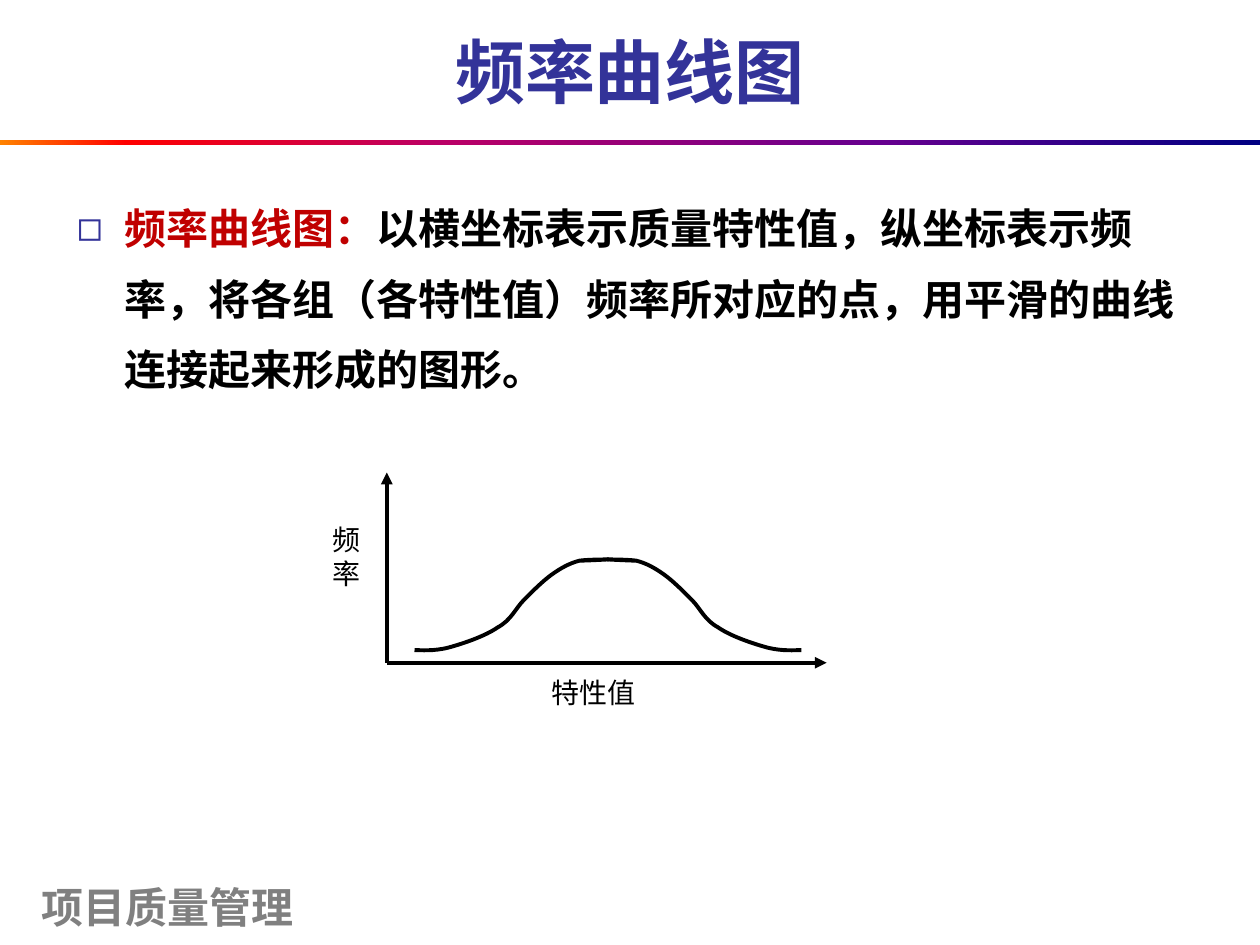
from lxml import etree
from pptx import Presentation
from pptx import util as u
from pptx.dml.color import RGBColor
from pptx.enum import shapes, text
from pptx.oxml.ns import qn

INDIGO = RGBColor(0x33, 0x33, 0x99)
RED = RGBColor(0xC0, 0x00, 0x00)
BLACK = RGBColor(0x00, 0x00, 0x00)
GREY = RGBColor(0x80, 0x80, 0x80)
RULE_STOPS = [(0, RGBColor(0xFF, 0x82, 0x00)), (10, RGBColor(0xFF, 0x00, 0x00)),
              (35, RGBColor(0xBA, 0x00, 0x66)), (70, RGBColor(0x66, 0x00, 0x8F)),
              (100, RGBColor(0x00, 0x00, 0x82))]

# Left half of the bell curve: start, then cubic segments (control, control, end)
BELL_HALF = [
    (3.29, 5.16),
    (3.34, 5.16), (3.44, 5.17), (3.56, 5.14),
    (3.67, 5.11), (3.85, 5.05), (3.95, 4.98),
    (4.06, 4.92), (4.09, 4.83), (4.16, 4.76),
    (4.23, 4.69), (4.31, 4.61), (4.38, 4.56),
    (4.45, 4.51), (4.52, 4.47), (4.60, 4.45),
    (4.67, 4.44), (4.83, 4.44), (4.83, 4.44),
    (4.83, 4.44), (4.65, 4.45), (4.60, 4.45),
]
BELL_WIDTH_SUM = 9.65  # left x plus its mirrored x


class SlideBuilder:
    """Holds the style and the current slide."""
    heading_font = "Arial"
    body_font = "Noto Sans CJK SC"
    label_font = "Times New Roman"
    line_width = u.Pt(2.25)

    def __init__(self, slide):
        self.slide = slide
        self.figure = slide.shapes.add_group_shape().shapes

    def format_run(self, run, font, size, color, bold=False):
        run.font.name, run.font.size, run.font.bold = font, u.Pt(size), bold
        run.font.color.rgb = color

    def place(self, shape, left, top, width, height):
        shape.left, shape.top = u.Inches(left), u.Inches(top)
        shape.width, shape.height = u.Inches(width), u.Inches(height)

    def title(self, wording, *box):
        title = self.slide.shapes.title
        self.place(title, *box)
        frame = title.text_frame
        frame.text = wording
        frame.auto_size = text.MSO_AUTO_SIZE.NONE
        frame.vertical_anchor = text.MSO_ANCHOR.MIDDLE
        frame.paragraphs[0].alignment = text.PP_ALIGN.CENTER
        self.format_run(frame.paragraphs[0].runs[0], self.heading_font, 40, INDIGO, True)

    def definition(self, term, meaning, *box):
        body = self.slide.placeholders[1]
        self.place(body, *box)
        body.text_frame.auto_size = text.MSO_AUTO_SIZE.NONE
        paragraph = body.text_frame.paragraphs[0]
        # Hollow square bullet with a hanging indent; punctuation stays inside the margin
        properties = paragraph._p.get_or_add_pPr()
        properties.set("marL", str(u.Inches(0.38)))
        properties.set("indent", str(-u.Inches(0.38)))
        properties.set("hangingPunct", "0")
        bullet_color = etree.SubElement(properties, qn("a:buClr"))
        etree.SubElement(bullet_color, qn("a:srgbClr"), val=str(INDIGO))
        etree.SubElement(properties, qn("a:buChar"), char="◻")
        paragraph.line_spacing = 1.4
        paragraph.space_before = u.Pt(0)
        for wording, color in ((term, RED), (meaning, BLACK)):
            run = paragraph.add_run()
            run.text = wording
            self.format_run(run, self.body_font, 24, color, True)

    def footer(self, wording, *box):
        footer = self.slide.shapes.add_textbox(*map(u.Inches, box))
        frame = footer.text_frame
        frame.word_wrap = True
        frame.vertical_anchor = text.MSO_ANCHOR.MIDDLE
        frame.text = wording
        self.format_run(frame.paragraphs[0].runs[0], self.heading_font, 24, GREY, True)

    def gradient_rule(self, stops, *box):
        rule = self.slide.shapes.add_shape(shapes.MSO_SHAPE.RECTANGLE, *map(u.Inches, box))
        rule.shadow.inherit = False
        rule.line.fill.background()
        rule.fill.gradient()
        rule.fill.gradient_angle = 0
        stop_list = rule._element.spPr.find(qn("a:gradFill")).find(qn("a:gsLst"))
        for old_stop in list(stop_list):
            stop_list.remove(old_stop)
        for percent, color in stops:
            stop = etree.SubElement(stop_list, qn("a:gs"), pos=str(percent * 1000))
            etree.SubElement(stop, qn("a:srgbClr"), val=str(color))

    def axis(self, *ends):
        axis = self.figure.add_connector(shapes.MSO_CONNECTOR.STRAIGHT, *map(u.Inches, ends))
        axis.line.color.rgb, axis.line.width = BLACK, self.line_width
        etree.SubElement(axis.line._get_or_add_ln(), qn("a:tailEnd"), type="triangle")
        etree.SubElement(axis._element.spPr, qn("a:effectLst"))

    def axis_label(self, wording, *box):
        label = self.figure.add_textbox(*map(u.Inches, box))
        frame = label.text_frame
        frame.word_wrap = True
        frame.margin_left = frame.margin_right = frame.margin_top = frame.margin_bottom = 0
        frame.text = wording
        frame.paragraphs[0].alignment = text.PP_ALIGN.JUSTIFY
        self.format_run(frame.paragraphs[0].runs[0], self.label_font, 16, BLACK)

    def curve(self, points):
        start, *others = [(u.Inches(x), u.Inches(y)) for x, y in points]
        pen = self.figure.build_freeform(*start)
        pen.add_line_segments(others, close=False)
        curve = pen.convert_to_shape()
        # Every three straight steps become one cubic segment
        steps = list(curve._element.spPr.iter(qn("a:lnTo")))
        for first in range(0, len(steps), 3):
            bend = etree.Element(qn("a:cubicBezTo"))
            steps[first].addprevious(bend)
            for step in steps[first:first + 3]:
                bend.append(step[0])
                step.getparent().remove(step)
        curve.shadow.inherit = False
        curve.fill.background()
        curve.line.color.rgb, curve.line.width = BLACK, self.line_width


def main():
    deck = Presentation()
    deck.slide_width, deck.slide_height = u.Inches(10), u.Inches(7.5)
    builder = SlideBuilder(deck.slides.add_slide(deck.slide_layouts[1]))

    # Frame of the slide
    builder.footer("项目质量管理", 0.23, 6.95, 2.5, 0.5)
    builder.gradient_rule(RULE_STOPS, 0, 1.11, 10, 0.04)

    # Title and definition
    builder.title("频率曲线图", 0.51, 0.05, 8.98, 1.02)
    builder.definition("频率曲线图：",
                       "以横坐标表示质量特性值，纵坐标表示频率，将各组（各特性值）频率所对应的点，"
                       "用平滑的曲线连接起来形成的图形。", 0.51, 1.4, 9, 4.95)

    # Axes and their labels
    origin = (3.07, 5.26)
    builder.axis(*origin, 3.07, 3.75)
    builder.axis(*origin, 6.56, 5.26)
    builder.axis_label("频率", 2.64, 4.15, 0.44, 0.4)
    builder.axis_label("特性值", 4.38, 5.36, 0.87, 0.3)

    # Bell curve: left half and its mirror image
    builder.curve(BELL_HALF)
    builder.curve([(BELL_WIDTH_SUM - x, y) for x, y in BELL_HALF])

    deck.save("out.pptx")


if __name__ == "__main__":
    main()
